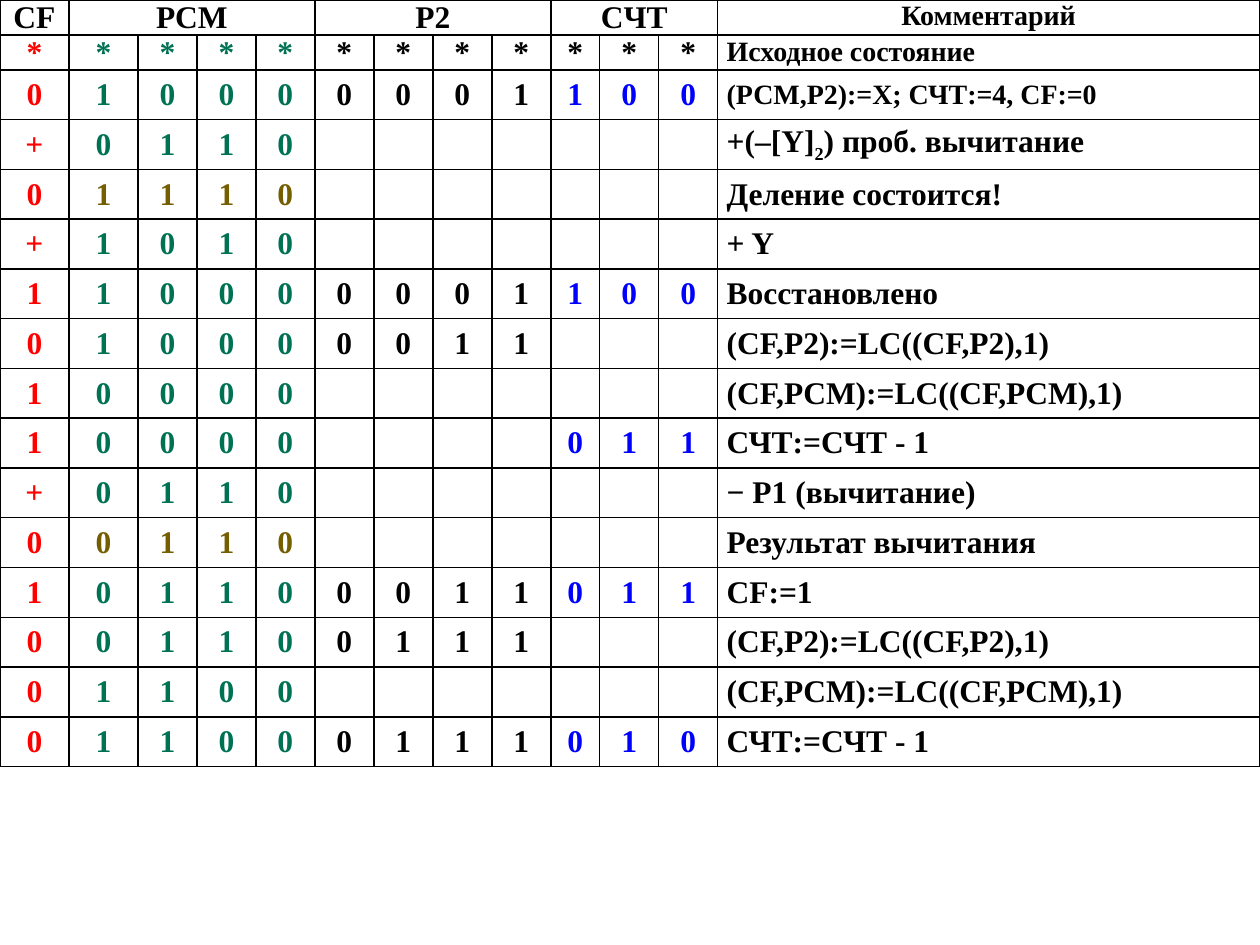
import pptx
import pptx.util
import pptx.dml.color
import pptx.enum.text
import pptx.oxml.ns
import lxml.etree

PX = 914400 // 126
FONT = "Times New Roman"
COLORS = {
    "text": "000000",
    "flag": "FF0000",
    "register": "007254",
    "result": "745E00",
    "counter": "0000FF",
}
COL_WIDTHS = [69, 69] + [59] * 7 + [49, 59, 59, 542]
HEAD_ROW_H = 35
HEADERS = [(0, 0, "CF"), (1, 4, "PCM"), (5, 8, "P2"), (9, 11, "CЧТ"), (12, 12, "Комментарий")]
STEPS = [
    ("************", "Исходное состояние"),
    ("010000001100", "(РСМ,Р2):=Х; СЧТ:=4, CF:=0"),
    ("+0110", "+(–[Y]|2|) проб. вычитание"),
    ("01110", "Деление состоится!"),
    ("+1010", "+ Y"),
    ("110000001100", "Восстановлено"),
    ("010000011", "(CF,P2):=LC((CF,P2),1)"),
    ("10000", "(CF,PСМ):=LC((CF,PСМ),1)"),
    ("10000    011", "СЧТ:=СЧТ - 1"),
    ("+0110", "− Р1 (вычитание)"),
    ("00110", "Результат вычитания"),
    ("101100011011", "CF:=1"),
    ("001100111", "(CF,P2):=LC((CF,P2),1)"),
    ("01100", "(CF,PСМ):=LC((CF,PСМ),1)"),
    ("011000111010", "СЧТ:=СЧТ - 1"),
]
RESULT_STEPS = (3, 10)


def set_borders(cell):
    tcPr = cell._tc.get_or_add_tcPr()
    for side in ("lnL", "lnR", "lnT", "lnB"):
        ln = lxml.etree.SubElement(tcPr, pptx.oxml.ns.qn(f"a:{side}"), w=str(pptx.util.Pt(1)))
        fill = lxml.etree.SubElement(ln, pptx.oxml.ns.qn("a:solidFill"))
        lxml.etree.SubElement(fill, pptx.oxml.ns.qn("a:srgbClr"), val=COLORS["text"])


def format_cell(cell):
    cell.margin_left = cell.margin_right = 9 * PX
    cell.margin_top = cell.margin_bottom = 0
    set_borders(cell)
    cell.fill.background()


def write(cell, text, size=18, color="text", centered=True):
    p = cell.text_frame.paragraphs[0]
    p.space_after = pptx.util.Pt(1)
    align = pptx.enum.text.PP_ALIGN
    p.alignment = align.CENTER if centered else align.LEFT
    for i, part in enumerate(text.split("|")):
        r = p.add_run()
        r.text = part
        r.font.name = FONT
        r.font.size = pptx.util.Pt(size)
        r.font.bold = True
        r.font.color.rgb = pptx.dml.color.RGBColor.from_string(COLORS[color])
        if i % 2:
            r.font._element.set("baseline", "-25000")


def digit_color(step, col):
    if col == 0:
        return "flag"
    if col <= 4:
        return "result" if step in RESULT_STEPS else "register"
    return "counter" if col >= 9 and step > 0 else "text"


def add_trace_table(s, left, top, width, height):
    rows, cols = len(STEPS) + 1, len(COL_WIDTHS)
    table = s.shapes.add_table(rows, cols, left * PX, top * PX, width * PX, height * PX).table
    table.first_row = table.horz_banding = False
    for column, w in zip(table.columns, COL_WIDTHS):
        column.width = w * PX
    body_h = (height - 2 * HEAD_ROW_H) * PX // (rows - 2)
    for i, row in enumerate(table.rows):
        row.height = HEAD_ROW_H * PX if i < 2 else body_h
    for cell in table.iter_cells():
        format_cell(cell)

    for first, last, title in HEADERS:
        cell = table.cell(0, first)
        if last > first:
            cell.merge(table.cell(0, last))
        write(cell, title, 16 if first == 12 else 18)

    for step, (digits, comment) in enumerate(STEPS):
        for col in range(cols):
            table.cell(step + 1, col).vertical_anchor = pptx.enum.text.MSO_ANCHOR.MIDDLE
        for col, digit in enumerate(digits):
            if digit != " ":
                write(table.cell(step + 1, col), digit, color=digit_color(step, col))
        write(table.cell(step + 1, 12), comment, 16 if step < 2 else 18, centered=False)


def main():
    prs = pptx.Presentation()
    prs.slide_width = pptx.util.Inches(10)
    prs.slide_height = pptx.util.Inches(7.5)
    s = prs.slides.add_slide(prs.slide_layouts[6])
    add_trace_table(s, 0, 0, 1260, 767)
    prs.save("out.pptx")


if __name__ == "__main__":
    main()
